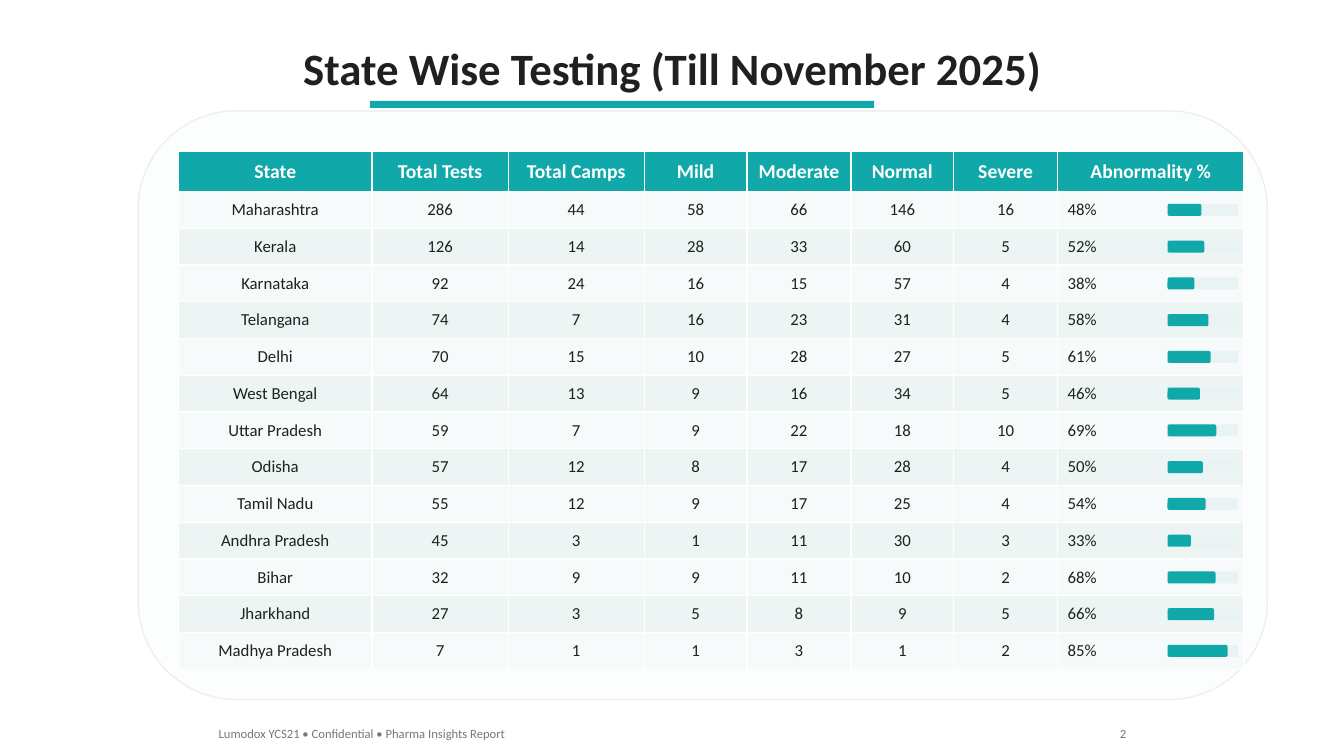
from dataclasses import dataclass

from pptx import Presentation
from pptx.dml.color import RGBColor
from pptx.enum.shapes import MSO_SHAPE as Shape
from pptx.enum.text import MSO_ANCHOR as Anchor, MSO_AUTO_SIZE as AutoSize, PP_ALIGN as Align
from pptx.slide import Slide
from pptx.text.text import _Paragraph as Paragraph
from pptx.util import Inches, Pt


@dataclass(frozen=True)
class Theme:
    font: str = "Calibri"
    teal: str = "10A8A8"
    ink: str = "202020"
    white: str = "FFFFFF"
    muted: str = "787878"
    panel: str = "FCFDFD"
    panel_line: str = "EBF0F0"
    odd_row: str = "F6FAFA"
    even_row: str = "ECF4F4"
    track: str = "EAF3F3"
    title_size: int = 32
    header_size: int = 14
    body_size: int = 12
    footer_size: int = 9


@dataclass(frozen=True)
class Box:
    left: float
    top: float
    width: float
    height: float

    def lengths(self) -> tuple[int, ...]:
        return tuple(Inches(n) for n in (self.left, self.top, self.width, self.height))


@dataclass(frozen=True)
class TextStyle:
    size: int
    color: str
    bold: bool = False
    align: Align = Align.LEFT


@dataclass(frozen=True)
class StateResult:
    state: str
    tests: int
    camps: int
    mild: int
    moderate: int
    normal: int
    severe: int
    abnormality: int

    def cell_texts(self) -> list[str]:
        counts = (self.tests, self.camps, self.mild, self.moderate, self.normal, self.severe)
        return [self.state, *map(str, counts), f"{self.abnormality}%"]


THEME = Theme()
HEADERS = ["State", "Total Tests", "Total Camps", "Mild", "Moderate", "Normal", "Severe",
           "Abnormality %"]
COLUMN_WIDTHS = [1.92, 1.35, 1.35, 1.02, 1.03, 1.02, 1.03, 1.85]
RESULTS = [
    StateResult("Maharashtra", 286, 44, 58, 66, 146, 16, 48),
    StateResult("Kerala", 126, 14, 28, 33, 60, 5, 52),
    StateResult("Karnataka", 92, 24, 16, 15, 57, 4, 38),
    StateResult("Telangana", 74, 7, 16, 23, 31, 4, 58),
    StateResult("Delhi", 70, 15, 10, 28, 27, 5, 61),
    StateResult("West Bengal", 64, 13, 9, 16, 34, 5, 46),
    StateResult("Uttar Pradesh", 59, 7, 9, 22, 18, 10, 69),
    StateResult("Odisha", 57, 12, 8, 17, 28, 4, 50),
    StateResult("Tamil Nadu", 55, 12, 9, 17, 25, 4, 54),
    StateResult("Andhra Pradesh", 45, 3, 1, 11, 30, 3, 33),
    StateResult("Bihar", 32, 9, 9, 11, 10, 2, 68),
    StateResult("Jharkhand", 27, 3, 5, 8, 9, 5, 66),
    StateResult("Madhya Pradesh", 7, 1, 1, 3, 1, 2, 85),
]
TABLE_BOX = Box(1.77, 1.5, 10.57, 5.14)
HEADER_HEIGHT = 0.4
ROW_HEIGHT = (TABLE_BOX.height - HEADER_HEIGHT) / len(RESULTS)
BAR_LEFT, BAR_WIDTH, BAR_HEIGHT = 11.58, 0.7, 0.12


def write(paragraph: Paragraph, text: str, style: TextStyle) -> None:
    paragraph.alignment = style.align
    run = paragraph.add_run()
    run.text = text
    run.font.name = THEME.font
    run.font.size = Pt(style.size)
    run.font.bold = style.bold
    run.font.color.rgb = RGBColor.from_string(style.color)


def add_label(slide: Slide, box: Box, text: str, style: TextStyle) -> None:
    frame = slide.shapes.add_textbox(*box.lengths()).text_frame
    frame.word_wrap = False
    frame.auto_size = AutoSize.SHAPE_TO_FIT_TEXT
    write(frame.paragraphs[0], text, style)


def add_block(slide: Slide, kind: Shape, box: Box, fill: str, line: str | None = None) -> None:
    shape = slide.shapes.add_shape(kind, *box.lengths())
    shape.shadow.inherit = False
    shape.fill.solid()
    shape.fill.fore_color.rgb = RGBColor.from_string(fill)
    if line is None:
        shape.line.fill.background()
    else:
        shape.line.color.rgb = RGBColor.from_string(line)
        shape.line.width = Pt(1)


def add_results_table(slide: Slide) -> None:
    rows = [HEADERS] + [result.cell_texts() for result in RESULTS]
    frame = slide.shapes.add_table(len(rows), len(HEADERS), *TABLE_BOX.lengths())
    table = frame.table
    table.horz_banding = False
    for column, width in zip(table.columns, COLUMN_WIDTHS):
        column.width = Inches(width)
    for row_index, texts in enumerate(rows):
        is_header = row_index == 0
        table.rows[row_index].height = Inches(HEADER_HEIGHT if is_header else ROW_HEIGHT)
        row_fill = THEME.odd_row if row_index % 2 else THEME.even_row
        for column_index, text in enumerate(texts):
            cell = table.cell(row_index, column_index)
            cell.vertical_anchor = Anchor.MIDDLE
            cell.fill.solid()
            cell.fill.fore_color.rgb = RGBColor.from_string(THEME.teal if is_header else row_fill)
            if is_header:
                style = TextStyle(THEME.header_size, THEME.white, True, Align.CENTER)
            else:
                is_last = column_index == len(HEADERS) - 1
                style = TextStyle(THEME.body_size, THEME.ink,
                                  align=Align.LEFT if is_last else Align.CENTER)
            write(cell.text_frame.paragraphs[0], text, style)


def add_abnormality_bars(slide: Slide) -> None:
    first_top = TABLE_BOX.top + HEADER_HEIGHT + (ROW_HEIGHT - BAR_HEIGHT) / 2
    for index, result in enumerate(RESULTS):
        top = first_top + index * ROW_HEIGHT
        filled = BAR_WIDTH * result.abnormality / 100
        for width, color in ((BAR_WIDTH, THEME.track), (filled, THEME.teal)):
            add_block(slide, Shape.ROUNDED_RECTANGLE, Box(BAR_LEFT, top, width, BAR_HEIGHT), color)


def main() -> None:
    presentation = Presentation()
    presentation.slide_width = Inches(13.33)
    presentation.slide_height = Inches(7.5)
    slide = presentation.slides.add_slide(presentation.slide_layouts[6])

    # Title and underline
    add_label(slide, Box(2.87, 0.35, 7.6, 0.64), "State Wise Testing (Till November 2025)",
              TextStyle(THEME.title_size, THEME.ink, True, Align.CENTER))
    add_block(slide, Shape.RECTANGLE, Box(3.67, 1, 5, 0.07), THEME.teal)

    # Panel with the table and its bars
    add_block(slide, Shape.ROUNDED_RECTANGLE, Box(1.37, 1.1, 11.2, 5.84),
              THEME.panel, THEME.panel_line)
    add_results_table(slide)
    add_abnormality_bars(slide)

    # Footer
    add_label(slide, Box(2.07, 7.15, 3.05, 0.25),
              "Lumodox YCS21 • Confidential • Pharma Insights Report",
              TextStyle(THEME.footer_size, THEME.muted))
    add_label(slide, Box(11, 7.15, 0.27, 0.25), "2",
              TextStyle(THEME.footer_size, THEME.muted, align=Align.RIGHT))

    presentation.save("out.pptx")


if __name__ == "__main__":
    main()
